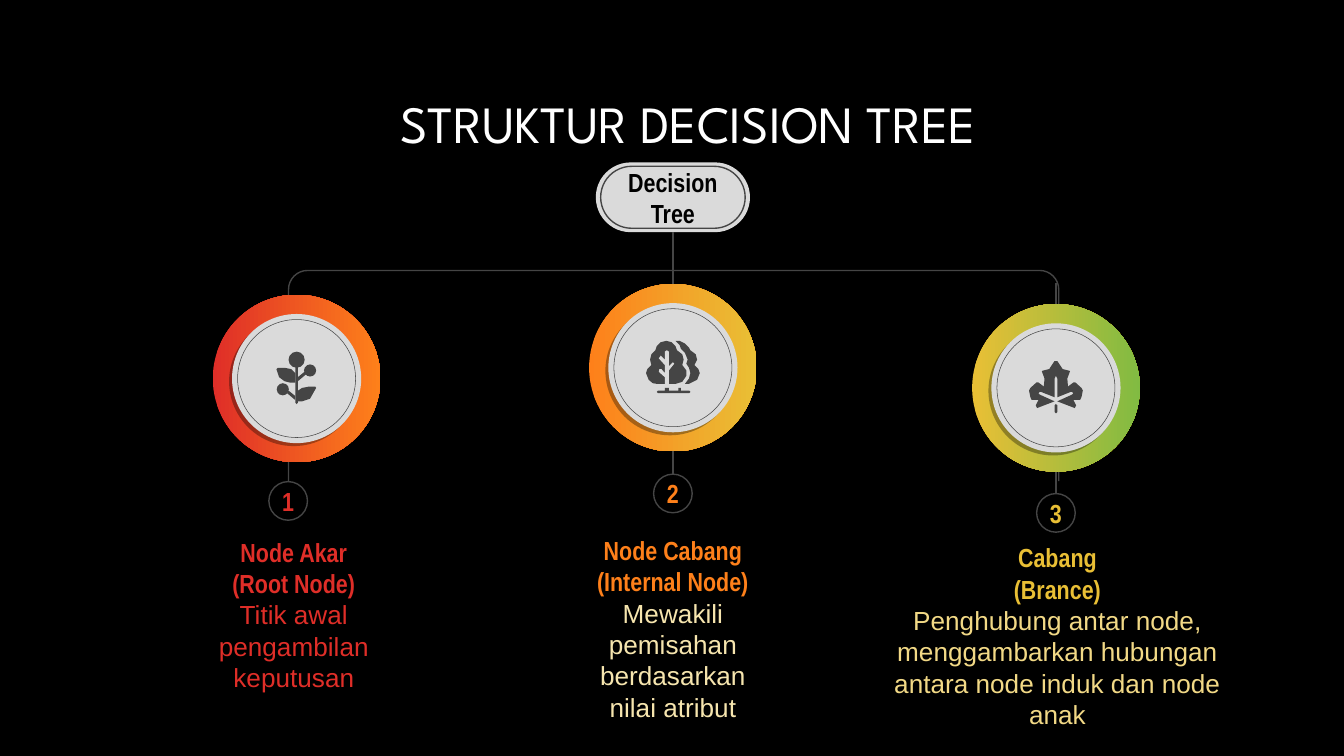
from dataclasses import dataclass
from math import cos, pi, sin

from lxml.etree import SubElement
from pptx import Presentation
from pptx.dml.color import RGBColor
from pptx.enum.shapes import MSO_CONNECTOR, MSO_SHAPE
from pptx.enum.text import MSO_ANCHOR, MSO_AUTO_SIZE, PP_ALIGN
from pptx.oxml.ns import qn
from pptx.util import Pt

Point = tuple[float, float]

BLACK, WHITE, GREY, DARK = "000000", "FFFFFF", "DADADA", "454545"
HEADING, BODY, TITLE = "Arial Narrow", "Arial", "League Spartan"
THIN, HAIR = 0.75, 0.28
LINE_HEIGHT = 16.8
ICON_UNIT = 0.72
RING, FACE, RIM, BADGE = 89.8, 69.2, 63.2, 20.7
MIDDLE = 360.5


@dataclass
class Part:
    """A piece of an icon, in icon units from the disc's centre."""
    points: list[Point]
    color: str = DARK


@dataclass
class Berry:
    x: float
    y: float
    radius: float


@dataclass
class Node:
    number: str
    heading: list[str]
    body: str
    colors: tuple[str, str]
    body_color: str
    disc: Point
    badge: Point
    label: tuple[float, float, float]  # centre x, top, width
    lines: int
    stem_top: float | None
    icon: list[Part | Berry]


SPROUT = [
    Berry(0, -14, 6), Berry(-10.3, 8, 4.5), Berry(10, -6, 4.5),
    Part([(-1, -10), (1, -10), (1, 18), (0, 19), (-1, 18)]),
    Part([(-1, -4), (-4, -7), (-9, -8), (-14, -8), (-15, -7), (-13, -1), (-9, 2), (-5, 3), (-1, 3)]),
    Part([(1, 17), (4, 17), (10, 15), (14.5, 7), (14, 6), (9, 6), (4, 7), (1, 9)]),
    Part([(-6, 9), (-1, 13), (-1, 16), (-7, 11)]),
    Part([(1, 2), (7, -3), (6, -5), (1, -1)]),
]
TREES = [
    Part([(-5, -20), (-9, -19), (-12, -16), (-13, -13), (-16, -10), (-17, -6), (-16, -2),
          (-19, 1), (-20, 4), (-18, 9), (-15, 11.5), (-12, 12), (2, 12), (7, 10.5), (10, 6),
          (10, 2), (7, -2), (8, -6), (7, -10), (3, -13), (2, -16), (-1, -19)]),
    Part([(-6, -12), (-4.5, -13), (-3, -12), (-3, -1), (0, -4), (1, -3), (-3, 2), (-3, 12),
          (-6, 12), (-6, 7), (-10.5, 3), (-10, 1), (-8.5, 1), (-6, 4), (-6, -2),
          (-10.5, -7), (-9, -9), (-6, -6)], GREY),
    Part([(2, -20), (5, -20), (9, -18), (12, -15), (13, -13), (17, -10), (18, -6), (16, -2),
          (19, 1), (20, 4), (18, 9), (12, 12), (9, 12), (12, 8), (13, 4), (12, 0), (10, -3),
          (11, -6), (9, -11), (6, -14), (5, -17)]),
    Part([(-6, 15), (-6, 17), (-11, 17), (-12, 18), (-11, 19), (12, 19), (13, 18), (12, 17),
          (6, 17), (6, 15), (4, 15), (4, 17), (-3, 17), (-3, 15)]),
]
LEAF_HALF = [(0, -20), (-1, -20), (-3, -17), (-5, -14), (-9, -13), (-10.5, -12.5), (-10, -11),
             (-8.5, -7), (-9, -1), (-13, -4), (-14.5, -4), (-19, 0), (-20, 2), (-19, 7),
             (-18, 9), (-13, 9), (-15, 13), (-14, 15), (-1, 10), (-12, 5), (-13, 4),
             (-12, 3), (-11, 3), (-1, 7), (-1, -7), (0, -9)]
LEAF = [
    Part(LEAF_HALF + [(-x, y) for x, y in reversed(LEAF_HALF)]),
    Part([(0, 12), (-1, 13), (-1, 18), (0, 19), (1, 18), (1, 13)]),
]

NODES = [
    Node("1", ["Node Akar", "(Root Node)"], "Titik awal pengambilan keputusan",
         ("DF2E28", "FE801A"), "DF2E28", (158.9, 202.8), (154.4, 268.4),
         (157.4, 287.1, 90), 5, None, SPROUT),
    Node("2", ["Node Cabang", "(Internal Node)"], "Mewakili pemisahan berdasarkan nilai atribut",
         ("FE801A", "E9BF35"), "F6E5AE", (MIDDLE, 197), (MIDDLE, 264.4),
         (MIDDLE, 286.2, 95.8), 6, 140.6, TREES),
    Node("3", ["Cabang", "(Brance)"],
         "Penghubung antar node, menggambarkan hubungan antara node induk dan node anak",
         ("E9BF35", "81BB42"), "F2D986", (565.7, 207.8), (565.7, 274.8),
         (566.5, 290.2, 190), 6, 151.4, LEAF),
]


def rgb(color: str) -> RGBColor:
    return RGBColor.from_string(color)


def paint(shape, fill: str | None = None, line: str | None = None, weight: float = THIN) -> None:
    shape.shadow.inherit = False
    if fill:
        shape.fill.solid()
        shape.fill.fore_color.rgb = rgb(fill)
    else:
        shape.fill.background()
    if line:
        shape.line.color.rgb = rgb(line)
        shape.line.width = Pt(weight)
    else:
        shape.line.fill.background()


def centred(slide, kind, center: Point, width: float, height: float, **look):
    x, y = center
    shape = slide.shapes.add_shape(kind, Pt(x - width / 2), Pt(y - height / 2), Pt(width), Pt(height))
    paint(shape, **look)
    return shape


def circle(slide, center: Point, diameter: float, **look):
    return centred(slide, MSO_SHAPE.OVAL, center, diameter, diameter, **look)


def outline(slide, points: list[Point], close: bool, **look) -> None:
    start, *rest = [(Pt(x), Pt(y)) for x, y in points]
    builder = slide.shapes.build_freeform(*start, scale=1.0)
    builder.add_line_segments(rest, close=close)
    paint(builder.convert_to_shape(), **look)


def set_frame(frame, anchor, side: float, edge: float) -> None:
    settings = {"word_wrap": True, "auto_size": MSO_AUTO_SIZE.NONE, "vertical_anchor": anchor,
                "margin_left": Pt(side), "margin_right": Pt(side),
                "margin_top": Pt(edge), "margin_bottom": Pt(edge)}
    for key, value in settings.items():
        setattr(frame, key, value)


def write(paragraph, text: str, color: str, font: str = HEADING, size: float = 14,
          bold: bool = True, spacing=Pt(LINE_HEIGHT)) -> None:
    paragraph.alignment = PP_ALIGN.CENTER
    paragraph.line_spacing = spacing
    run = paragraph.add_run()
    run.text = text
    for key, value in {"name": font, "size": Pt(size), "bold": bold}.items():
        setattr(run.font, key, value)
    run.font.color.rgb = rgb(color)


def link(slide, start: Point, end: Point):
    line = slide.shapes.add_connector(MSO_CONNECTOR.STRAIGHT, *map(Pt, start + end))
    line.line.color.rgb = rgb(DARK)
    line.line.width = Pt(THIN)
    SubElement(line._element.spPr, qn("a:effectLst"))
    return line


def draw_branches(slide) -> None:
    """Draw the rounded bracket that reaches down to the outer nodes."""
    left, right, top, bottom, radius = 154.6, 567.2, 144.9, 257.8, 10.2
    turns = [i * pi / 16 for i in range(9)]
    bend = [(left + radius * (1 - cos(t)), top + radius * (1 - sin(t))) for t in turns]
    half = [(left, bottom)] + bend
    outline(slide, half + [(left + right - x, y) for x, y in reversed(half)], False, line=DARK)


def draw_root(slide) -> None:
    pill_center = (MIDDLE, 105.7)
    pill = centred(slide, MSO_SHAPE.ROUNDED_RECTANGLE, pill_center, 82.6, 37.4, fill=GREY)
    rim = centred(slide, MSO_SHAPE.ROUNDED_RECTANGLE, pill_center, 77.4, 33.2, line=DARK)
    for shape in (pill, rim):
        shape.adjustments[0] = 0.5
    set_frame(pill.text_frame, MSO_ANCHOR.MIDDLE, 7.2, 7.2)
    write(pill.text_frame.paragraphs[0], "Decision Tree", BLACK)
    trunk = link(slide, (MIDDLE, 124.4), (MIDDLE, 140.6))
    trunk.begin_connect(pill, 2)


def draw_disc(slide, node: Node) -> None:
    x, y = node.disc
    ring = circle(slide, node.disc, RING)
    ring.fill.gradient()
    ring.fill.gradient_angle = 0
    for stop, color in zip(ring.fill.gradient_stops, node.colors):
        stop.color.rgb = rgb(color)
    shade = circle(slide, (x - 1.6, y + 1.6), FACE, fill=BLACK)
    SubElement(shade._element.spPr.find(".//" + qn("a:srgbClr")), qn("a:alpha"), val="33000")
    circle(slide, node.disc, FACE, fill=GREY)
    circle(slide, node.disc, RIM, line=DARK, weight=HAIR)
    for part in node.icon:
        if isinstance(part, Berry):
            center = (x + part.x * ICON_UNIT, y + part.y * ICON_UNIT)
            circle(slide, center, 2 * part.radius * ICON_UNIT, fill=DARK)
        else:
            points = [(x + px * ICON_UNIT, y + py * ICON_UNIT) for px, py in part.points]
            outline(slide, points, True, fill=part.color)


def draw_node(slide, node: Node) -> None:
    color = node.colors[0]
    badge = circle(slide, node.badge, BADGE, line=DARK)
    set_frame(badge.text_frame, MSO_ANCHOR.MIDDLE, 0, 0)
    write(badge.text_frame.paragraphs[0], node.number, color)
    if node.stem_top is not None:
        x, y = node.badge
        link(slide, (x, node.stem_top), (x, y - BADGE / 2)).end_connect(badge, 0)
    draw_disc(slide, node)

    center, top, width = node.label
    label = slide.shapes.add_textbox(Pt(center - width / 2), Pt(top), Pt(width),
                                     Pt(node.lines * LINE_HEIGHT)).text_frame
    set_frame(label, MSO_ANCHOR.TOP, 3.6, 0)
    first, second = node.heading
    write(label.paragraphs[0], first, color)
    write(label.add_paragraph(), second, color)
    write(label.add_paragraph(), node.body, node.body_color, BODY, bold=False)


def main() -> None:
    deck = Presentation()
    deck.slide_width, deck.slide_height = Pt(720), Pt(405)
    slide = deck.slides.add_slide(deck.slide_layouts[5])
    slide.background.fill.solid()
    slide.background.fill.fore_color.rgb = rgb(BLACK)

    title = slide.shapes.title
    for key, value in {"left": 188.6, "top": 45.4, "width": 360, "height": 40}.items():
        setattr(title, key, Pt(value))
    set_frame(title.text_frame, MSO_ANCHOR.TOP, 7.2, 7.2)
    write(title.text_frame.paragraphs[0], "STRUKTUR DECISION TREE", WHITE, TITLE, 28, False, 0.9)

    draw_branches(slide)
    draw_root(slide)
    for node in NODES:
        draw_node(slide, node)
    deck.save("out.pptx")


if __name__ == "__main__":
    main()
